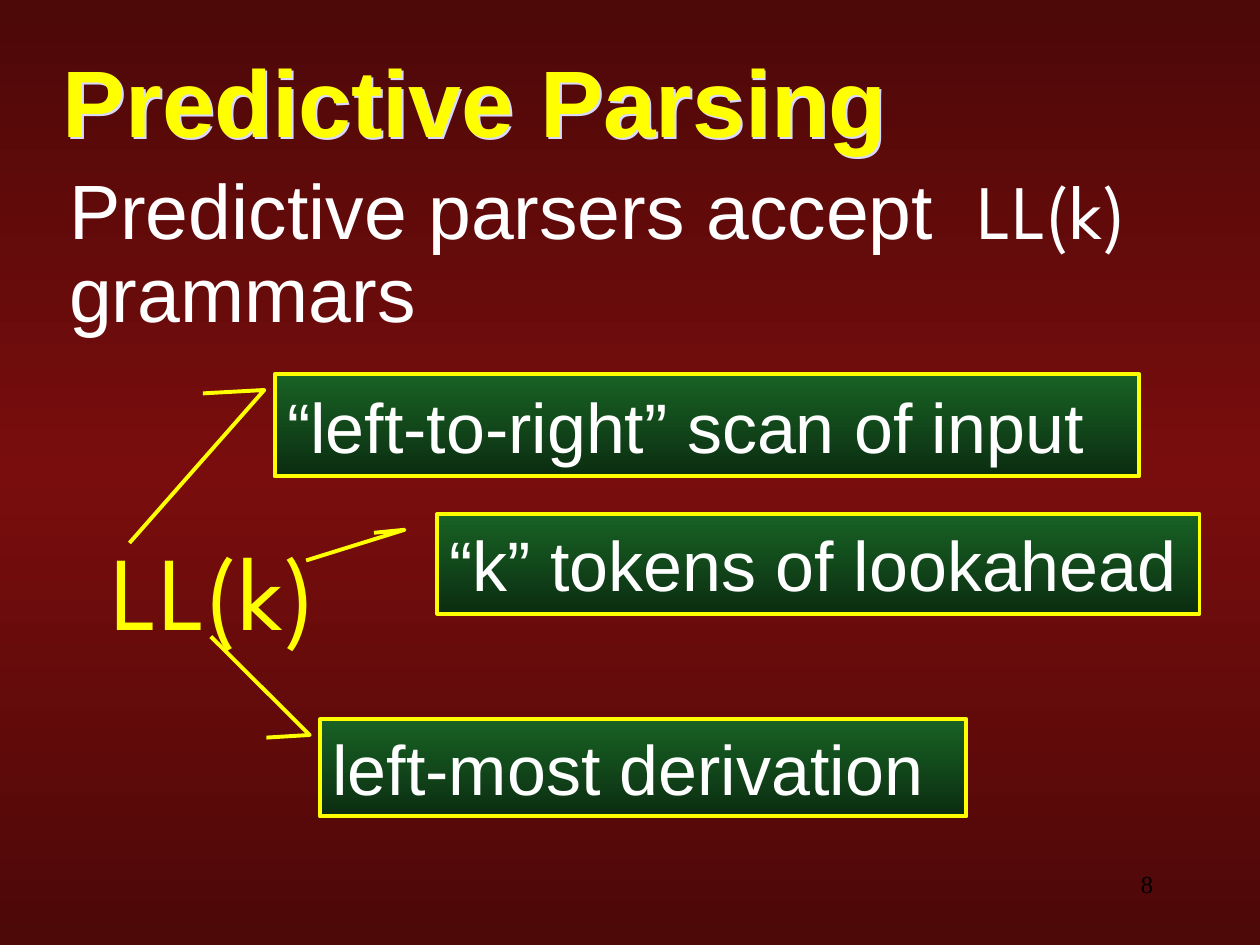
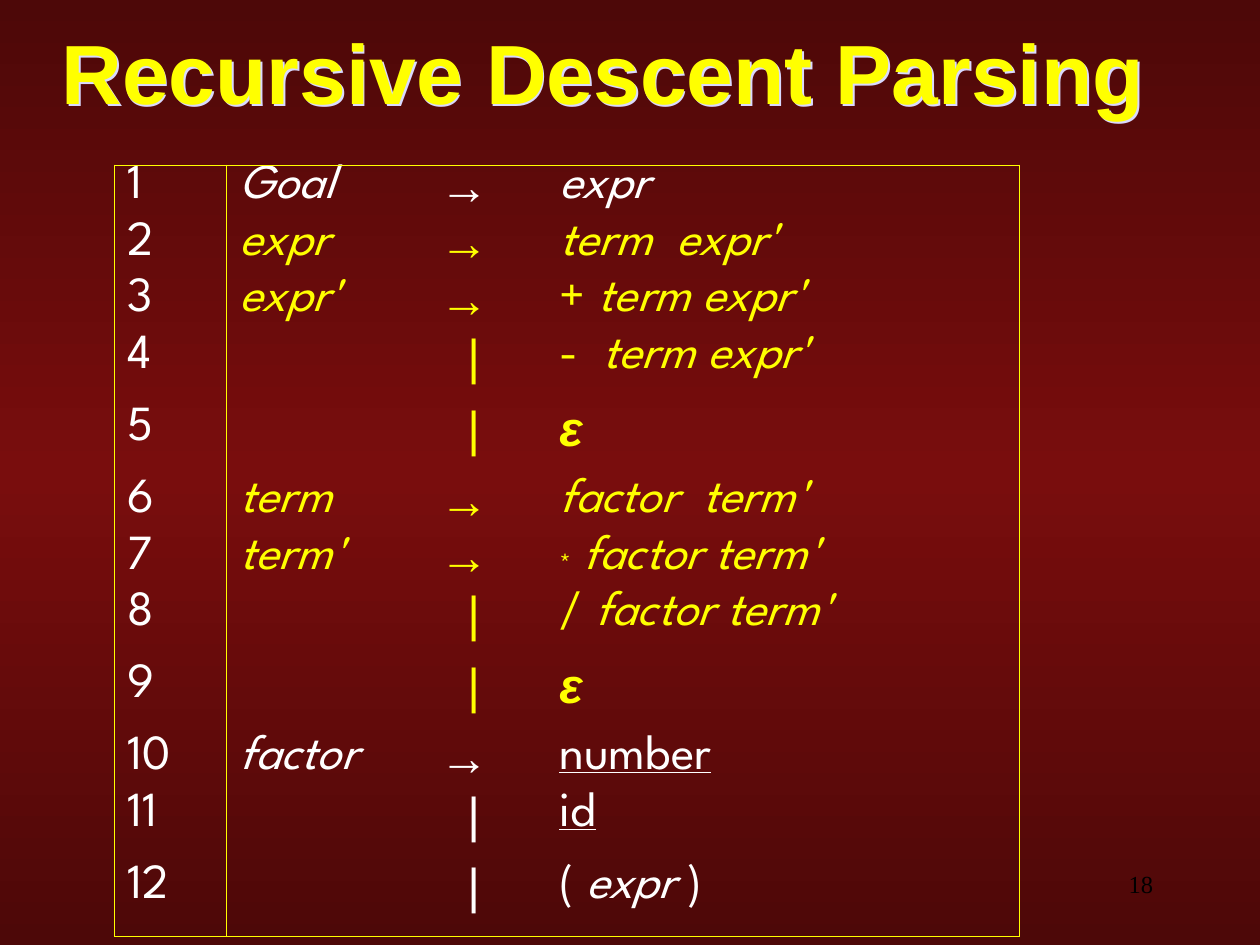
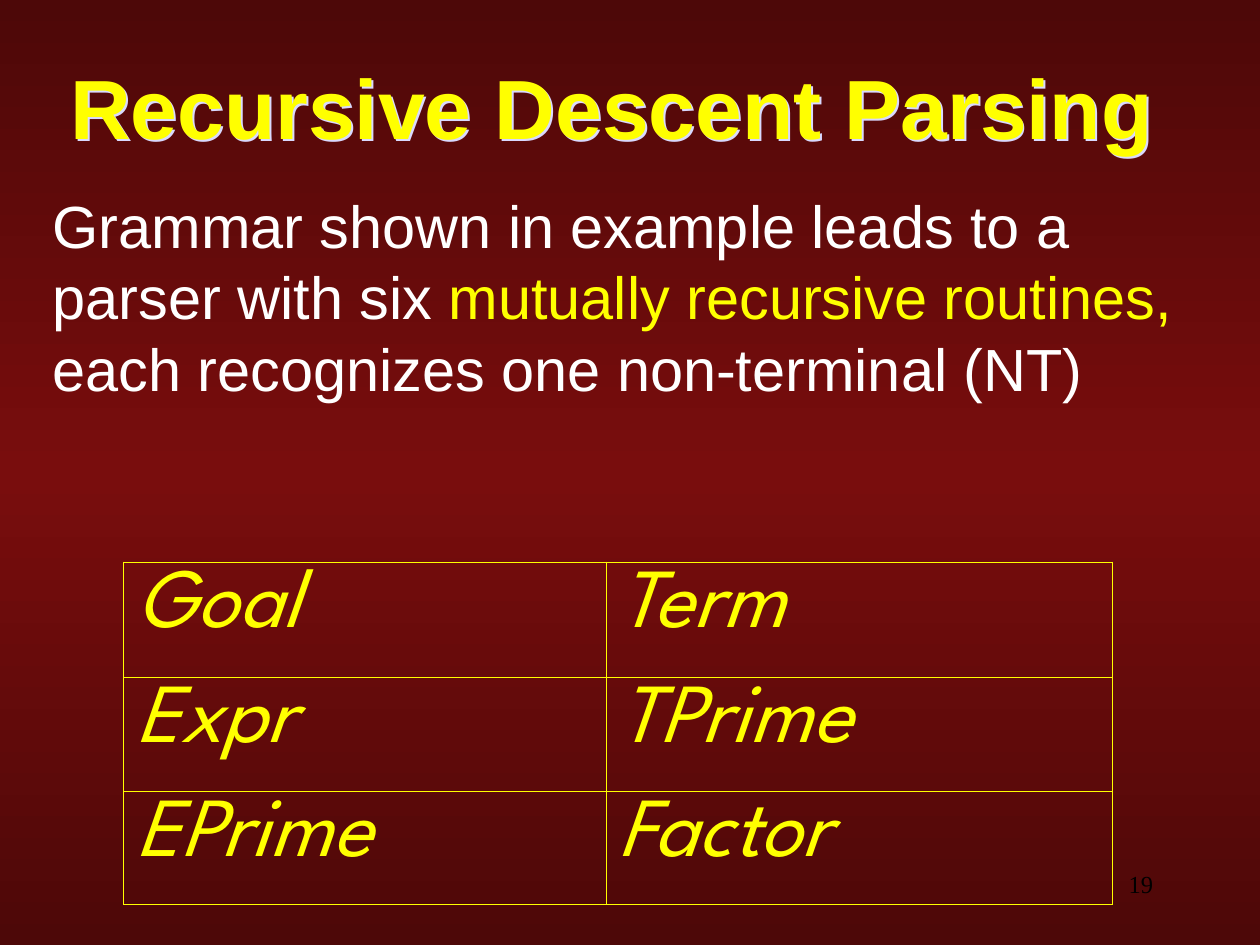
from copy import deepcopy
from dataclasses import dataclass, replace
from typing import NamedTuple

from lxml import etree
from pptx import Presentation
from pptx.dml.color import RGBColor
from pptx.enum.shapes import MSO_SHAPE
from pptx.enum.text import MSO_ANCHOR, PP_ALIGN
from pptx.oxml.ns import qn
from pptx.util import Emu, Inches, Pt

YELLOW = RGBColor(0xFF, 0xFF, 0x00)
WHITE = RGBColor(0xFF, 0xFF, 0xFF)
BLACK = RGBColor(0x00, 0x00, 0x00)
TITLE_SHADOW = RGBColor(0xD9, 0xD9, 0xFF)
DARK_RED = RGBColor(0x4D, 0x08, 0x08)
RED = RGBColor(0x79, 0x0D, 0x0D)
GREEN = RGBColor(0x18, 0x62, 0x24)
DARK_GREEN = RGBColor(0x0B, 0x2D, 0x11)

SANS = "Arial"
GRAMMAR_FONT = "League Spartan"
NUMBER_FONT = "Times New Roman"

TOP, MIDDLE, BOTTOM = MSO_ANCHOR.TOP, MSO_ANCHOR.MIDDLE, MSO_ANCHOR.BOTTOM
LEFT, RIGHT = PP_ALIGN.LEFT, PP_ALIGN.RIGHT
BENT_CALLOUT = MSO_SHAPE.LINE_CALLOUT_2
BORDER_WIDTH = Pt(0.45)
BORDER_TAGS = {"left": "a:lnL", "right": "a:lnR", "top": "a:lnT", "bottom": "a:lnB"}


class Box(NamedTuple):
    left: float
    top: float
    width: float
    height: float

    def emu(self) -> list[Emu]:
        return [Inches(length) for length in self]


@dataclass(frozen=True)
class Style:
    size: float
    color: RGBColor = WHITE
    font: str = SANS
    bold: bool = False
    italic: bool = False
    underline: bool = False
    subscript: int = 0


class Run(NamedTuple):
    text: str
    style: Style


class Callout(NamedTuple):
    text: str
    box: Box
    leader: tuple[float, ...]


class Rule(NamedTuple):
    """One production: its left side, whether it starts a new one, its right side."""
    head: str
    right_side: list[Run]
    color: RGBColor
    height: float


TITLE = Style(48, YELLOW, bold=True)
PAGE_NUMBER = Style(14, BLACK, NUMBER_FONT)
CALLOUT = Style(40)
SYMBOL = Style(28, font=GRAMMAR_FONT)
NONTERMINAL = replace(SYMBOL, italic=True)
TERMINAL = replace(SYMBOL, underline=True)
YELLOW_SYMBOL = replace(SYMBOL, color=YELLOW)
YELLOW_NONTERMINAL = replace(NONTERMINAL, color=YELLOW)
EPSILON = Run("ε", Style(28, YELLOW, bold=True, italic=True))
ROUTINE = Style(48, YELLOW, GRAMMAR_FONT, italic=True)

CALLOUTS = [
    Callout("“left-to-right” scan of input", Box(2.18, 2.97, 6.86, 0.81),
            (0.188, -0.083, 0.155, -0.012, 1.654, -0.168)),
    Callout("left-most derivation", Box(2.54, 5.71, 5.13, 0.77),
            (0.188, -0.083, 0.161, -0.016, -0.854, -0.169)),
    Callout("“k” tokens of lookahead", Box(3.47, 4.08, 6.05, 0.79),
            (0.188, -0.083, 0.158, -0.043, 0.466, -0.172)),
]

SHORT, TALL = 0.45, 0.57
RULES = [
    Rule("Goal", [Run("expr", NONTERMINAL)], WHITE, SHORT),
    Rule("expr", [Run("term  expr'", YELLOW_NONTERMINAL)], YELLOW, SHORT),
    Rule("expr'", [Run("+", YELLOW_SYMBOL), Run(" term expr'", YELLOW_NONTERMINAL)],
         YELLOW, SHORT),
    Rule("", [Run("-", YELLOW_SYMBOL), Run("  term expr'", YELLOW_NONTERMINAL)],
         YELLOW, TALL),
    Rule("", [EPSILON], YELLOW, TALL),
    Rule("term", [Run("factor  term'", YELLOW_NONTERMINAL)], YELLOW, SHORT),
    Rule("term'", [Run("*", replace(YELLOW_SYMBOL, subscript=-8000)),
                   Run(" factor term'", YELLOW_NONTERMINAL)], YELLOW, SHORT),
    Rule("", [Run("∕", YELLOW_SYMBOL), Run(" factor term'", YELLOW_NONTERMINAL)],
         YELLOW, TALL),
    Rule("", [EPSILON], YELLOW, TALL),
    Rule("factor", [Run("number", TERMINAL)], WHITE, SHORT),
    Rule("", [Run("id", TERMINAL)], WHITE, TALL),
    Rule("", [Run("( ", SYMBOL), Run("expr", NONTERMINAL), Run(" )", SYMBOL)],
         WHITE, TALL),
]
ROUTINES = [("Goal", "Term"), ("Expr", "TPrime"), ("EPrime", "Factor")]


def write(frame, runs: list[Run], *, align=LEFT, anchor=None,
          line_spacing: float = 1.0, indent: float = 0) -> None:
    """Fill the first paragraph of a text frame with formatted runs."""
    frame.word_wrap = True
    if anchor is not None:
        frame.vertical_anchor = anchor
    paragraph = frame.paragraphs[0]
    paragraph.alignment = align
    paragraph.line_spacing = line_spacing
    if indent:
        paragraph._p.get_or_add_pPr().set("marL", str(Inches(indent)))
    for text, style in runs:
        run = paragraph.add_run()
        run.text = text
        font = run.font
        font.size, font.name = Pt(style.size), style.font
        font.bold, font.italic, font.underline = style.bold, style.italic, style.underline
        font.color.rgb = style.color
        if style.subscript:
            run._r.get_or_add_rPr().set("baseline", str(style.subscript))


def add_text(slide, box: Box, runs: list[Run], **layout):
    text_box = slide.shapes.add_textbox(*box.emu())
    write(text_box.text_frame, runs, **layout)
    return text_box


def fill_gradient(fill, owner, stops: list[tuple[float, RGBColor]]) -> None:
    """Give a fill a top-to-bottom gradient; owner is the element that holds it."""
    fill.gradient()
    fill.gradient_angle = 270
    stop_list = next(owner.iter(qn("a:gsLst")))
    while len(stop_list) < len(stops):
        stop_list.append(deepcopy(stop_list[0]))
    for stop, (position, color) in zip(fill.gradient_stops, stops):
        stop.position = position
        stop.color.rgb = color


def add_title_shadow(title) -> None:
    effects = etree.SubElement(title.element.spPr, qn("a:effectLst"))
    shadow = etree.SubElement(effects, qn("a:outerShdw"),
                              dist=str(Pt(1.5)), dir="2700000", algn="ctr")
    etree.SubElement(shadow, qn("a:srgbClr"), val=str(TITLE_SHADOW))


def add_slide(prs, title: str, left: float, top: float, number: int, size: float = 48):
    slide = prs.slides.add_slide(prs.slide_layouts[6])
    title_box = add_text(slide, Box(left, top, 10, 0.83),
                         [Run(title, replace(TITLE, size=size))], anchor=MIDDLE)
    add_title_shadow(title_box)
    add_text(slide, Box(7.17, 6.83, 2.08, 0.36), [Run(str(number), PAGE_NUMBER)],
             align=RIGHT, anchor=MIDDLE)
    return slide


def add_callout(slide, callout: Callout) -> None:
    shape = slide.shapes.add_shape(BENT_CALLOUT, *callout.box.emu())
    shape.shadow.inherit = False
    for index, value in enumerate(callout.leader):
        shape.adjustments[index] = value
    fill_gradient(shape.fill, shape.element, [(0, GREEN), (1, DARK_GREEN)])
    shape.line.color.rgb = YELLOW
    shape.line.width = Pt(2.25)
    write(shape.text_frame, [Run(callout.text, CALLOUT)], anchor=MIDDLE)


def set_borders(cell, visible: set[str]) -> None:
    """Draw the visible sides of a cell and hide the others."""
    properties = cell._tc.get_or_add_tcPr()
    for index, (side, tag) in enumerate(BORDER_TAGS.items()):
        line = etree.Element(qn(tag), w=str(BORDER_WIDTH))
        properties.insert(index, line)
        if side in visible:
            solid = etree.SubElement(line, qn("a:solidFill"))
            etree.SubElement(solid, qn("a:srgbClr"), val=str(YELLOW))
        else:
            etree.SubElement(line, qn("a:noFill"))


def add_grid(slide, left: float, top: float, widths: list[float], heights: list[float],
             column_lines: set[int], row_lines: set[int]):
    """Add an unfilled table, ruled at the numbered column and row edges."""
    box = Box(left, top, sum(widths), sum(heights))
    table = slide.shapes.add_table(len(heights), len(widths), *box.emu()).table
    table.first_row = table.horz_banding = False
    for column, width in zip(table.columns, widths):
        column.width = Inches(width)
    for row, height in zip(table.rows, heights):
        row.height = Inches(height)
    for r in range(len(heights)):
        for c in range(len(widths)):
            cell = table.cell(r, c)
            cell.fill.background()
            edges = {"left": c in column_lines, "right": c + 1 in column_lines,
                     "top": r in row_lines, "bottom": r + 1 in row_lines}
            set_borders(cell, {side for side, ruled in edges.items() if ruled})
    return table


def build_predictive_parsing(prs) -> None:
    slide = add_slide(prs, "Predictive Parsing", 0.4, 0.38, 8, size=54)
    body = Style(44)
    add_text(slide, Box(0.45, 1.32, 9.04, 1.51),
             [Run("Predictive parsers accept  ", body),
              Run("LL(k)", replace(body, font=GRAMMAR_FONT)),
              Run(" grammars", body)], line_spacing=0.9)
    for callout in CALLOUTS:
        add_callout(slide, callout)
    add_text(slide, Box(0.79, 4.12, 2.3, 1.1),
             [Run("LL(k)", Style(60, YELLOW, GRAMMAR_FONT))], anchor=BOTTOM)


def build_grammar(prs) -> None:
    slide = add_slide(prs, "Recursive Descent Parsing", 0.39, 0.15, 18)
    table = add_grid(slide, 0.91, 1.31, [0.89, 1.59, 0.95, 3.75],
                     [rule.height for rule in RULES], {0, 1, 4}, {0, len(RULES)})
    for r, rule in enumerate(RULES):
        if rule.head:
            operator, indent = Run("→", Style(28, rule.color, bold=True)), 0
        else:
            operator, indent = Run("|", Style(28, rule.color)), 0.22
        contents = [
            [Run(str(r + 1), SYMBOL)],
            [Run(rule.head, replace(NONTERMINAL, color=rule.color))] if rule.head else [],
            [operator],
            rule.right_side,
        ]
        for c, runs in enumerate(contents):
            if runs:
                write(table.cell(r, c).text_frame, runs, line_spacing=0.75,
                      indent=indent if c == 2 else 0)


def build_routines(prs) -> None:
    slide = add_slide(prs, "Recursive Descent Parsing", 0.46, 0.43, 19)
    body = Style(34)
    add_text(slide, Box(0.32, 1.45, 9.43, 2.19),
             [Run("Grammar shown in example leads to a parser with six ", body),
              Run("mutually recursive routines, ", replace(body, color=YELLOW)),
              Run("each recognizes one non-terminal (NT)", body)])
    table = add_grid(slide, 0.98, 4.46, [3.83, 4.02], [0.92, 0.9, 0.9],
                     {0, 1, 2}, {0, 1, 2, 3})
    for r, names in enumerate(ROUTINES):
        for c, name in enumerate(names):
            write(table.cell(r, c).text_frame, [Run(name, ROUTINE)])


def main() -> None:
    prs = Presentation()
    prs.slide_width, prs.slide_height = Inches(10), Inches(7.5)
    master = prs.slide_master
    fill_gradient(master.background.fill, master.element,
                  [(0, DARK_RED), (0.5, RED), (1, DARK_RED)])
    build_predictive_parsing(prs)
    build_grammar(prs)
    build_routines(prs)
    prs.save("out.pptx")


if __name__ == "__main__":
    main()
